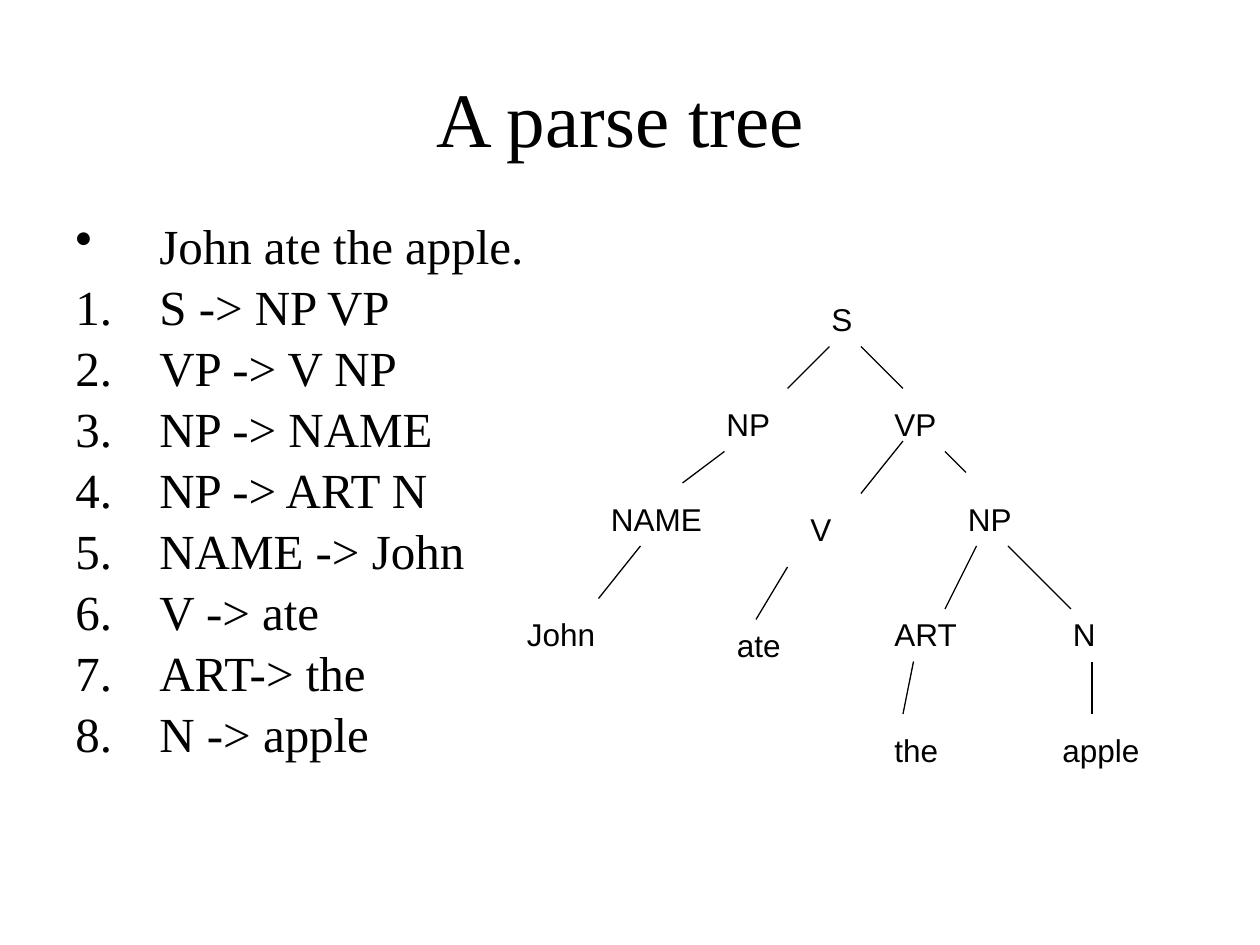
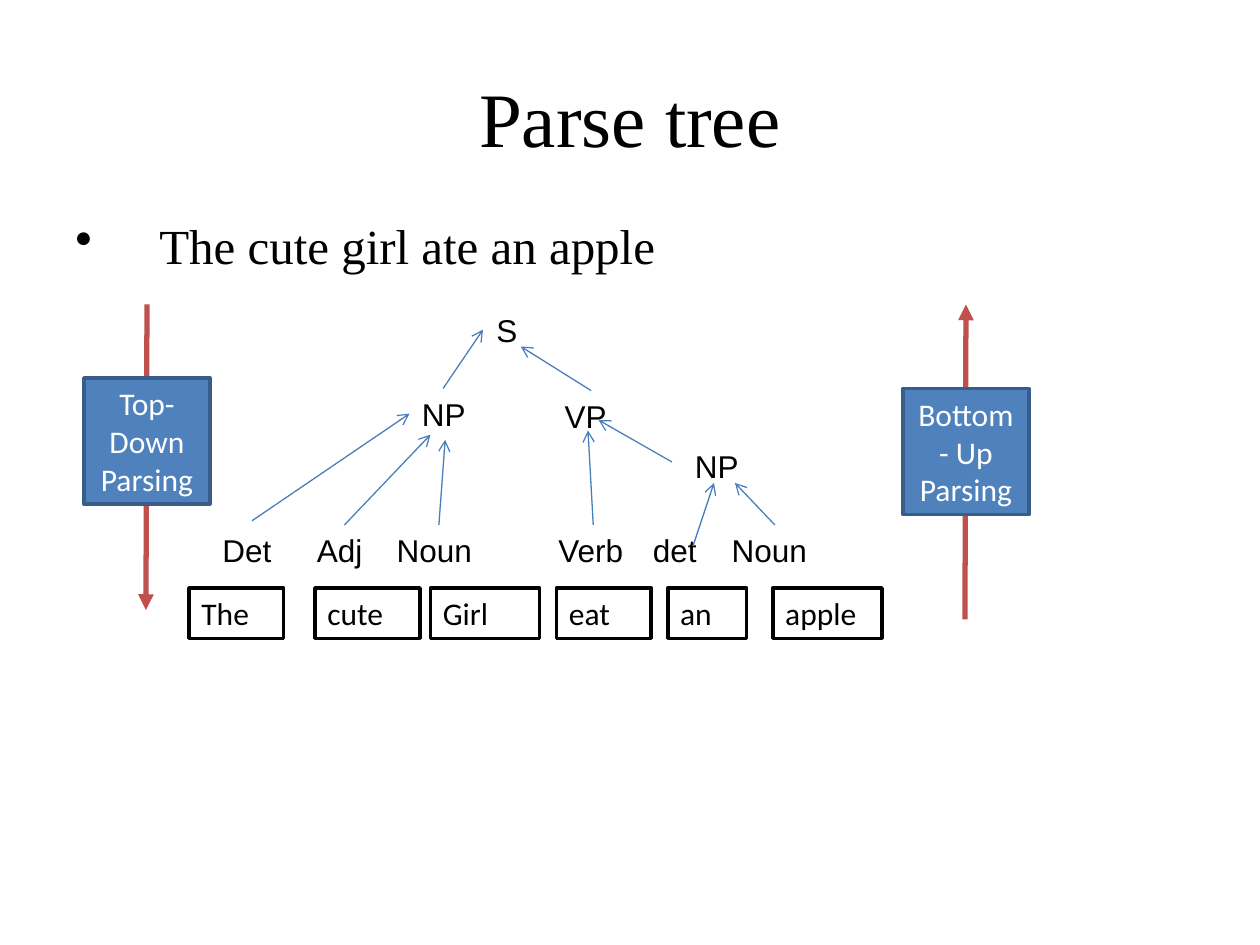
"""Build two slides on parse trees, laid out on a grid of twelfths of an inch."""
import dataclasses
import typing

import lxml.etree
import pptx
import pptx.dml.color
import pptx.enum.shapes
import pptx.enum.text
import pptx.oxml.ns
import pptx.util

ALIGN = pptx.enum.text.PP_ALIGN
ANCHOR = pptx.enum.text.MSO_ANCHOR
AUTO_SIZE = pptx.enum.text.MSO_AUTO_SIZE


@dataclasses.dataclass(frozen=True)
class Theme:
    """Colours, fonts and type sizes shared by the slides."""
    ink: str = "000000"
    paper: str = "FFFFFF"
    arrow: str = "4A7EBB"
    direction: str = "C0504D"
    panel: str = "4F81BD"
    panel_edge: str = "385D8A"
    serif: str = "Times New Roman"
    sans: str = "Arial"
    word: str = "Calibri"
    title_size: int = 44
    body_size: int = 28
    label_size: int = 18


THEME = Theme()


class TextStyle(typing.NamedTuple):
    """Font, size, colour and placement of a text."""
    font: str
    size: int
    color: str = THEME.ink
    align: ALIGN = ALIGN.LEFT
    anchor: ANCHOR = ANCHOR.TOP
    auto_size: AUTO_SIZE = AUTO_SIZE.NONE


class Box(typing.NamedTuple):
    """A text and its place in grid units."""
    text: str
    left: float
    top: float
    width: float
    height: float = 4.8


class Line(typing.NamedTuple):
    """Start and end of a line in grid units."""
    x1: float
    y1: float
    x2: float
    y2: float


class Stroke(typing.NamedTuple):
    """Colour, weight and arrowhead of a line."""
    color: str
    weight: float
    head: str = ""


TITLE = TextStyle(THEME.serif, THEME.title_size, align=ALIGN.CENTER, anchor=ANCHOR.MIDDLE)
BODY = TextStyle(THEME.serif, THEME.body_size)
LABEL = TextStyle(THEME.sans, THEME.label_size, auto_size=AUTO_SIZE.SHAPE_TO_FIT_TEXT)
WORD = LABEL._replace(font=THEME.word)
PANEL = TextStyle(THEME.word, THEME.label_size, THEME.paper, ALIGN.CENTER, ANCHOR.MIDDLE)

BRANCH = Stroke(THEME.ink, 0.75)
ARROW = Stroke(THEME.arrow, 0.75, "arrow")
DIRECTION = Stroke(THEME.direction, 3, "triangle")
WORD_EDGE = Stroke(THEME.ink, 2)
PANEL_EDGE = Stroke(THEME.panel_edge, 2)

RULES = ["S -> NP VP", "VP -> V NP", "NP -> NAME", "NP -> ART N",
         "NAME -> John", "V -> ate", "ART-> the", "N -> apple"]

RULE_NODES = [
    Box("S", 78, 28, 8), Box("NP", 68, 38, 10), Box("VP", 84, 38, 8),
    Box("NAME", 57, 47, 14), Box("V", 76, 48, 6), Box("NP", 91, 47, 7),
    Box("John", 49, 58, 13), Box("ate", 69, 59, 9), Box("ART", 84, 58, 11),
    Box("N", 101, 58, 9), Box("the", 84, 69, 9), Box("apple", 100, 69, 17),
]
RULE_BRANCHES = [
    Line(79, 33, 75, 37), Line(82, 33, 86, 37), Line(69, 43, 65, 46),
    Line(61, 52, 57, 57), Line(86, 42, 82, 47), Line(75, 54, 72, 59),
    Line(90, 43, 92, 45), Line(93, 52, 90, 58), Line(96, 52, 102, 58),
    Line(87, 63, 86, 68), Line(104, 63, 104, 68),
]

PHRASE_NODES = [Box("S", 46.1, 29, 4.3), Box("VP", 52.6, 37.2, 7.5),
                Box("NP", 39, 37, 7), Box("NP", 65, 42, 7)]
TAGS = [("Det", 20, 9), ("Adj", 29, 7.5), ("Noun", 36.6, 10.4),
        ("Verb", 52, 9), ("det", 61, 7.5), ("Noun", 68.5, 10.4)]
WORDS = [("The", 18, 9), ("cute", 30, 10), ("Girl", 41, 10.4),
         ("eat", 53, 9), ("an", 63.6, 7.5), ("apple", 73.6, 10.4)]
PHRASE_ARROWS = [
    Line(42.2, 37, 46, 31.4), Line(24, 49.6, 39, 39.4), Line(32.8, 50, 41, 41.4),
    Line(41.8, 50, 42.4, 41.9), Line(56.3, 37.2, 49.6, 33), Line(64, 44, 57, 40),
    Line(56.5, 50, 56, 41), Line(66, 52, 68, 46), Line(73.8, 50, 70, 46),
]
DIRECTIONS = [
    (Line(14, 29, 13.9, 58.1), Box("Top-Down Parsing", 8, 36, 12, 12)),
    (Line(91.9, 59, 92, 29), Box("Bottom - Up Parsing", 86, 37, 12, 12)),
]


def grid(units: float) -> pptx.util.Length:
    """Turn grid units into a length."""
    return pptx.util.Cm(units * 2.54 / 12)


def rgb(color: str) -> pptx.dml.color.RGBColor:
    """Turn a hexadecimal colour into a colour object."""
    return pptx.dml.color.RGBColor.from_string(color)


def apply(target: typing.Any, values: dict[str, typing.Any]) -> None:
    """Set each named value on the target."""
    for name, value in values.items():
        setattr(target, name, value)


def add_element(parent: typing.Any, tag: str, **attributes: str) -> typing.Any:
    """Append a drawing element to its parent."""
    return lxml.etree.SubElement(parent, pptx.oxml.ns.qn(tag), attributes)


def style_paragraph(paragraph: typing.Any, text: str, style: TextStyle) -> None:
    """Write a paragraph in a style."""
    paragraph.text = text
    paragraph.alignment = style.align
    font = paragraph.runs[0].font
    apply(font, {"name": style.font, "size": pptx.util.Pt(style.size)})
    font.color.rgb = rgb(style.color)


def fill_frame(shape: typing.Any, text: str, style: TextStyle) -> None:
    """Write one paragraph into a shape."""
    apply(shape.text_frame, {"word_wrap": True, "auto_size": style.auto_size,
                             "vertical_anchor": style.anchor})
    style_paragraph(shape.text_frame.paragraphs[0], text, style)


def add_text(shapes: typing.Any, box: Box, style: TextStyle) -> typing.Any:
    """Add a text box."""
    shape = shapes.add_textbox(*map(grid, box[1:]))
    fill_frame(shape, box.text, style)
    return shape


def draw_stroke(line: typing.Any, stroke: Stroke) -> None:
    """Set the colour and weight of a line."""
    line.color.rgb = rgb(stroke.color)
    line.width = pptx.util.Pt(stroke.weight)


def add_rectangle(shapes: typing.Any, box: Box, style: TextStyle, fill: str, edge: Stroke) -> None:
    """Add a filled rectangle with text."""
    shape = shapes.add_shape(pptx.enum.shapes.MSO_SHAPE.RECTANGLE, *map(grid, box[1:]))
    shape.shadow.inherit = False
    shape.fill.solid()
    shape.fill.fore_color.rgb = rgb(fill)
    draw_stroke(shape.line, edge)
    fill_frame(shape, box.text, style)


def add_line(shapes: typing.Any, line: Line, stroke: Stroke) -> None:
    """Add a straight line, with an arrowhead if its stroke has one."""
    connector = shapes.add_connector(pptx.enum.shapes.MSO_CONNECTOR.STRAIGHT, *map(grid, line))
    draw_stroke(connector.line, stroke)
    properties = connector._element.spPr
    if stroke.head:
        add_element(properties.find(pptx.oxml.ns.qn("a:ln")), "a:tailEnd", type=stroke.head)
    add_element(properties, "a:effectLst")


def add_list(shapes: typing.Any, width: float, sentence: str, rules: list[str]) -> None:
    """Add a bulleted sentence followed by numbered rules."""
    frame = add_text(shapes, Box(sentence, 6, 21, width, 59.4), BODY).text_frame
    for index, text in enumerate([sentence, *rules]):
        paragraph = frame.add_paragraph() if index else frame.paragraphs[0]
        properties = paragraph._p.get_or_add_pPr()
        apply_indent = {"marL": grid(8), "indent": -grid(8)}
        for name, value in apply_indent.items():
            properties.set(name, str(int(value)))
        add_element(add_element(properties, "a:buClr"), "a:srgbClr", val=THEME.ink)
        if index:
            add_element(properties, "a:buAutoNum", type="arabicPeriod")
        else:
            add_element(properties, "a:buChar", char="•")
        apply(paragraph, {"line_spacing": 0.8, "space_before": pptx.util.Pt(8 if index else 0)})
        style_paragraph(paragraph, text, BODY)


def add_slide(presentation: typing.Any, title: str) -> typing.Any:
    """Add a blank slide with a title and return its shapes."""
    slide = presentation.slides.add_slide(presentation.slide_layouts[6])
    add_text(slide.shapes, Box(title, 6, 3.6, 108, 15), TITLE)
    return slide.shapes


def build_rule_slide(presentation: typing.Any) -> None:
    """Build the slide with grammar rules and their tree."""
    shapes = add_slide(presentation, "A parse tree ")
    add_list(shapes, 49, "John ate the apple.", RULES)
    tree = shapes.add_group_shape().shapes
    for node in RULE_NODES:
        add_text(tree, node, LABEL)
    for branch in RULE_BRANCHES:
        add_line(tree, branch, BRANCH)


def build_direction_slide(presentation: typing.Any) -> None:
    """Build the slide with the two parsing directions."""
    shapes = add_slide(presentation, "Parse tree")
    add_list(shapes, 116, "The cute girl ate an apple", [])
    tags = [Box(text, left, 50, width) for text, left, width in TAGS]
    for node in PHRASE_NODES + tags:
        add_text(shapes, node, LABEL)
    for arrow in PHRASE_ARROWS:
        add_line(shapes, arrow, ARROW)
    for text, left, width in WORDS:
        add_rectangle(shapes, Box(text, left, 56, width), WORD, THEME.paper, WORD_EDGE)
    for arrow, panel in DIRECTIONS:
        add_line(shapes, arrow, DIRECTION)
        add_rectangle(shapes, panel, PANEL, THEME.panel, PANEL_EDGE)


def main() -> None:
    """Build and save the presentation."""
    presentation = pptx.Presentation()
    apply(presentation, {"slide_width": pptx.util.Cm(25.4), "slide_height": pptx.util.Cm(19.05)})
    build_rule_slide(presentation)
    build_direction_slide(presentation)
    presentation.save("out.pptx")


if __name__ == "__main__":
    main()
